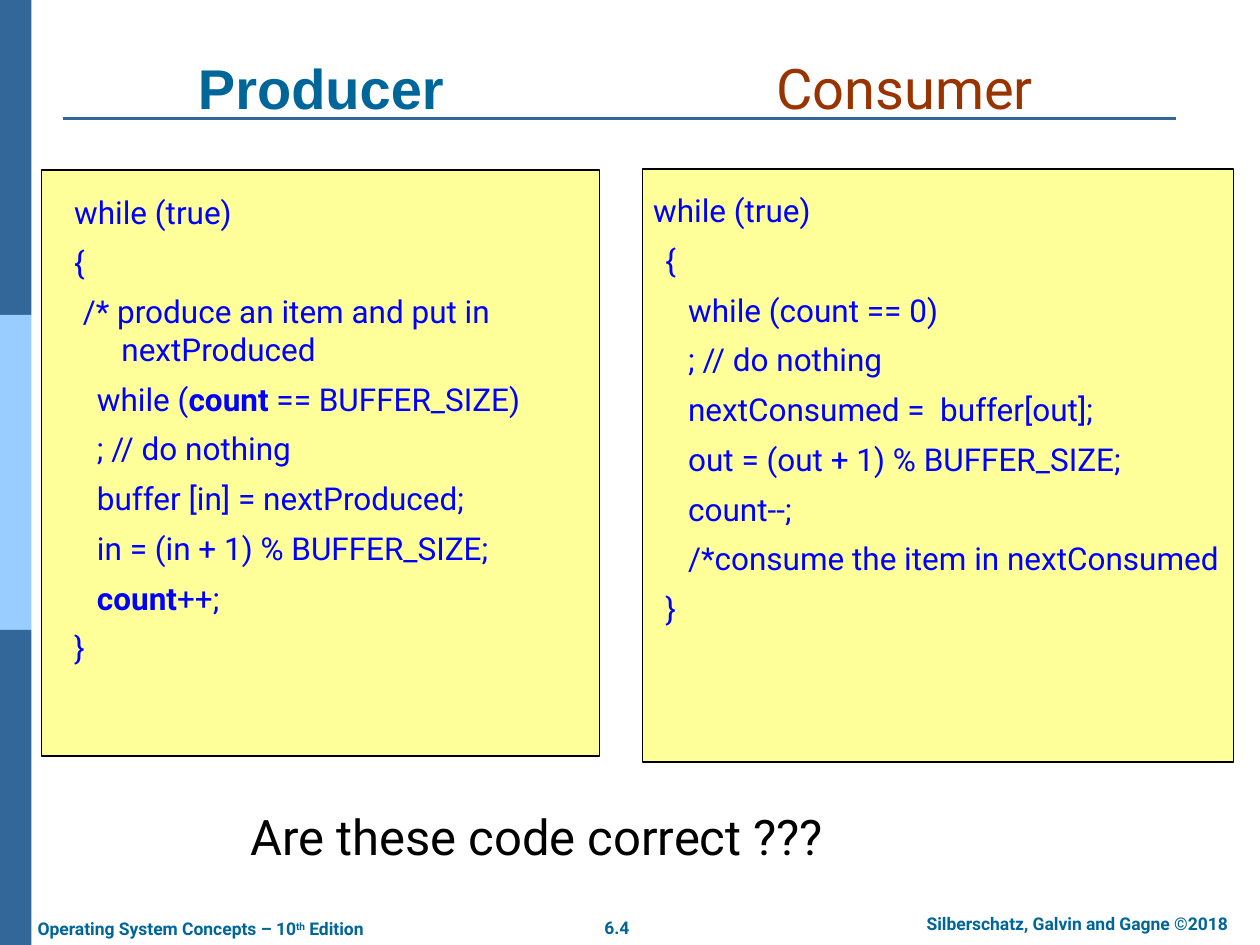
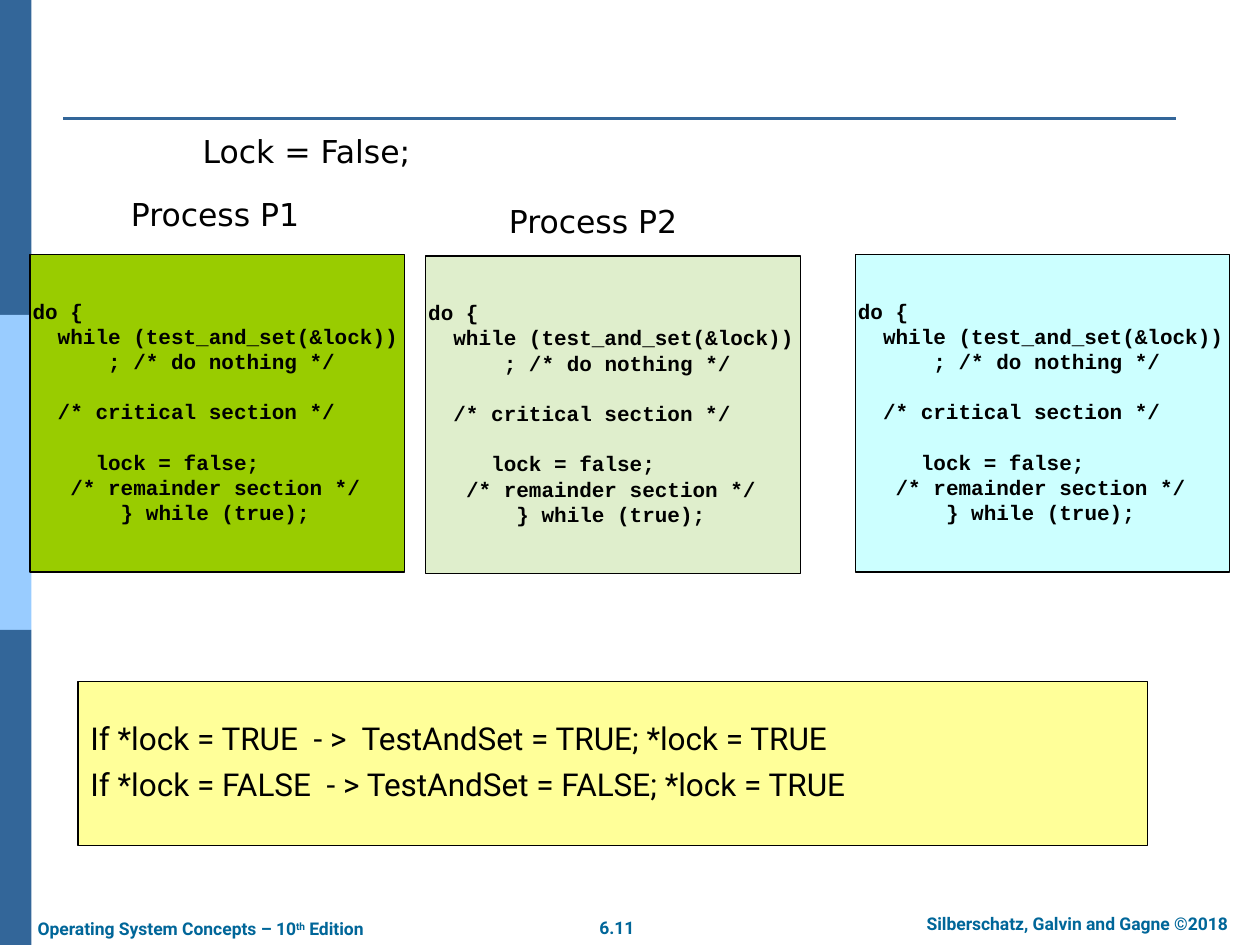
import pptx
import pptx.util
import pptx.dml.color
import pptx.enum.shapes
import pptx.enum.text
from lxml import etree

Pt = pptx.util.Pt
ALIGN = pptx.enum.text.PP_ALIGN
ANCHOR = pptx.enum.text.MSO_ANCHOR
RECT = pptx.enum.shapes.MSO_SHAPE.RECTANGLE

BAND, BAND_LIGHT = "336699", "99CCFF"
TEAL, RUST, CODE_BLUE = "006699", "993300", "0000FF"
BLACK, YELLOW = "000000", "FFFF99"
LINE_GAP = 6.8
MONO_CHAR, MONO_LINE = 7.2, 14.4

# Each code line: indent, text (or a list of text/bold pairs), hanging indent
PRODUCER = [
    (0, "while (true)", 0),
    (0, "{", 0),
    (5, "/* produce an item and put in nextProduced", 22),
    (13, [("while (", False), ("count", True), (" == BUFFER_SIZE)", False)], 0),
    (13, "; // do nothing", 0),
    (13, "buffer [in] = nextProduced;", 0),
    (13, "in = (in + 1) % BUFFER_SIZE;", 0),
    (13, [("count", True), ("++;", False)], 0),
    (0, "}", 0),
]
CONSUMER = [
    (0, "while (true)", 0),
    (7, "{", 0),
    (20, "while (count == 0)", 0),
    (20, "; // do nothing", 0),
    (20, "nextConsumed =  buffer[out];", 0),
    (20, "out = (out + 1) % BUFFER_SIZE;", 0),
    (20, "count--;", 0),
    (20, "/*consume the item in nextConsumed", 0),
    (7, "}", 0),
]
# Each lock line: indent in characters, text, lines left free above
LOCK_LOOP = [
    (0, "do {", 0),
    (2, "while (test_and_set(&lock))", 0),
    (6, "; /* do nothing */", 0),
    (2, "/* critical section */", 1),
    (5, "lock = false;", 1),
    (3, "/* remainder section */", 0),
    (7, "} while (true);", 0),
]


def rgb(value):
    return pptx.dml.color.RGBColor.from_string(value)


def set_frame(sp, left=7.2, top=3.6, right=7.2, anchor=ANCHOR.TOP):
    tf = sp.text_frame
    tf.word_wrap = True
    tf.margin_left, tf.margin_top = Pt(left), Pt(top)
    tf.margin_right, tf.margin_bottom = Pt(right), Pt(3.6)
    tf.vertical_anchor = anchor
    return tf


def add_paragraph(tf, first, align=ALIGN.LEFT, gap=0, left=0, hang=0):
    p = tf.paragraphs[0] if first else tf.add_paragraph()
    p.alignment = align
    p.space_before = Pt(gap)
    if left or hang:
        pPr = p._p.get_or_add_pPr()
        pPr.set("marL", str(Pt(left + hang)))
        pPr.set("indent", str(-Pt(hang)))
    return p


def add_run(p, text, size, color=BLACK, font="Roboto", bold=False):
    r = p.add_run()
    r.text = text
    r.font.name, r.font.size, r.font.bold = font, Pt(size), bold
    r.font.color.rgb = rgb(color)
    return r


def add_box(s, x, y, w, h, fill, line=None):
    sp = s.shapes.add_shape(RECT, Pt(x), Pt(y), Pt(w), Pt(h))
    sp.shadow.inherit = False
    sp.fill.solid()
    sp.fill.fore_color.rgb = rgb(fill)
    if line:
        sp.line.color.rgb = rgb(line)
        sp.line.width = Pt(0.75)
    else:
        sp.line.fill.background()
    return sp


def add_label(s, x, y, w, h, text, size, color=BLACK, font="Roboto",
              bold=False, align=ALIGN.LEFT, anchor=ANCHOR.TOP):
    """Add a one-line text box and return its paragraph."""
    sp = s.shapes.add_textbox(Pt(x), Pt(y), Pt(w), Pt(h))
    p = add_paragraph(set_frame(sp, anchor=anchor), True, align)
    add_run(p, text, size, color, font, bold)
    return p


def add_heading(s, x, w, text, color, font, bold):
    add_label(s, x, 18, w, 54.7, text, 32, color, font, bold,
              ALIGN.CENTER, ANCHOR.BOTTOM)


def add_code_panel(s, box, inset, lines):
    sp = add_box(s, *box, YELLOW, BLACK)
    tf = set_frame(sp, *inset, right=0)
    for i, (left, text, hang) in enumerate(lines):
        p = add_paragraph(tf, i == 0, gap=LINE_GAP if i else 0,
                          left=left, hang=hang)
        for part, bold in [(text, False)] if isinstance(text, str) else text:
            add_run(p, part, 18, CODE_BLUE, bold=bold)


def add_lock_panel(s, x, y, fill):
    tf = set_frame(add_box(s, x, y, 214, 181.5, fill, BLACK), 1.4, 25, 0)
    for i, (chars, text, free_lines) in enumerate(LOCK_LOOP):
        p = add_paragraph(tf, i == 0, gap=free_lines * MONO_LINE,
                          left=chars * MONO_CHAR)
        p.line_spacing = Pt(MONO_LINE)
        add_run(p, text, 12, font="Courier New", bold=True)


def add_rule(s, x1, x2, y):
    line = s.shapes.add_connector(pptx.enum.shapes.MSO_CONNECTOR.STRAIGHT,
                                  Pt(x1), Pt(y), Pt(x2), Pt(y))
    line.line.color.rgb = rgb(BAND)
    line.line.width = Pt(1.5)
    etree.SubElement(line._element.spPr, pptx.oxml.ns.qn("a:effectLst"))


def add_base_slide(prs, number):
    """Add a slide with the side bands, title rule and footers."""
    s = prs.slides.add_slide(prs.slide_layouts[6])
    for i, color in enumerate((BAND, BAND_LIGHT, BAND)):
        add_box(s, 0, i * 180, 18, 180, color)
    add_rule(s, 36, 672, 67.7)
    style = dict(size=10, color=TEAL, bold=True)
    add_label(s, 332.5, 520.5, 40, 19, number, align=ALIGN.CENTER, **style)
    add_label(s, 511, 518.4, 209, 19, "Silberschatz, Galvin and Gagne ©2018",
              align=ALIGN.CENTER, **style)
    p = add_label(s, 14.4, 521, 215, 19, "Operating System Concepts – 10", **style)
    th = add_run(p, "th", **style)
    th._r.get_or_add_rPr().set("baseline", "30000")
    add_run(p, " Edition", **style)
    return s


def build_producer_consumer(prs):
    s = add_base_slide(prs, "6.4")
    add_heading(s, 49.5, 268, "Producer", TEAL, "Arial", True)
    add_heading(s, 344, 346, "Consumer", RUST, "Roboto", False)
    add_code_panel(s, (23.8, 97.2, 319, 334.8), (18.6, 13), PRODUCER)
    add_code_panel(s, (367.2, 96.5, 337.7, 339), (6, 12.8), CONSUMER)
    add_label(s, 136, 457.2, 382, 41, "Are these code correct ???", 28)


def build_lock(prs):
    s = add_base_slide(prs, "6.11")
    for x, y, fill in ((17.2, 145.4, "99CC00"), (243.3, 146.2, "DFEECC"),
                       (488.8, 145.4, "CCFFFF")):
        add_lock_panel(s, x, y, fill)
    for x, y, w, text in ((108.7, 72, 140, "Lock = False;"),
                          (67.7, 108, 115, "Process P1"),
                          (283.7, 111.6, 115, "Process P2")):
        add_label(s, x, y, w, 29, text, 18, font="DejaVu Sans")
    sp = add_box(s, 44.6, 389.6, 611.3, 93.6, YELLOW, BLACK)
    tf = set_frame(sp, anchor=ANCHOR.MIDDLE)
    for i, text in enumerate((
            "If *lock = TRUE  - >  TestAndSet = TRUE; *lock = TRUE",
            "If *lock = FALSE  - > TestAndSet = FALSE; *lock = TRUE")):
        p = add_paragraph(tf, i == 0, gap=LINE_GAP if i else 0)
        p.line_spacing = 0.9
        add_run(p, text, 18)


def main():
    prs = pptx.Presentation()
    prs.slide_width, prs.slide_height = Pt(720), Pt(540)
    build_producer_consumer(prs)
    build_lock(prs)
    prs.save("out.pptx")


if __name__ == "__main__":
    main()
